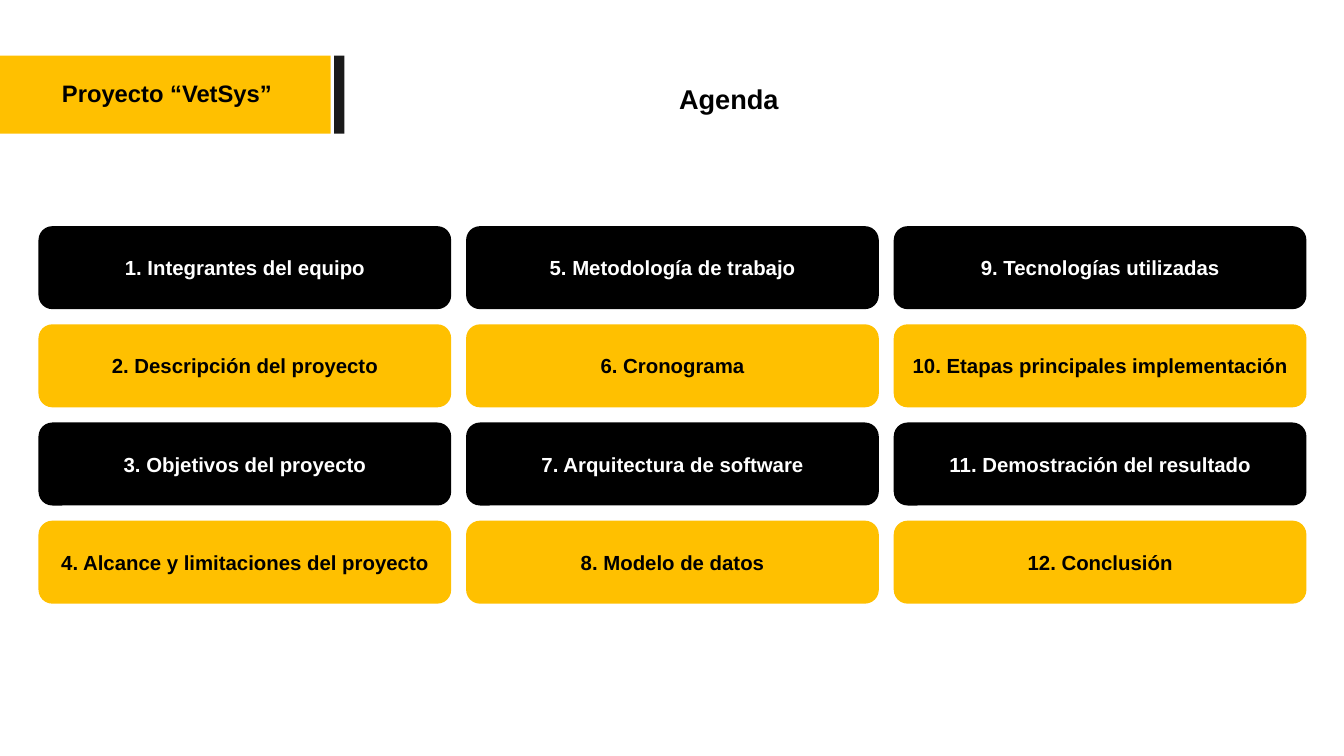
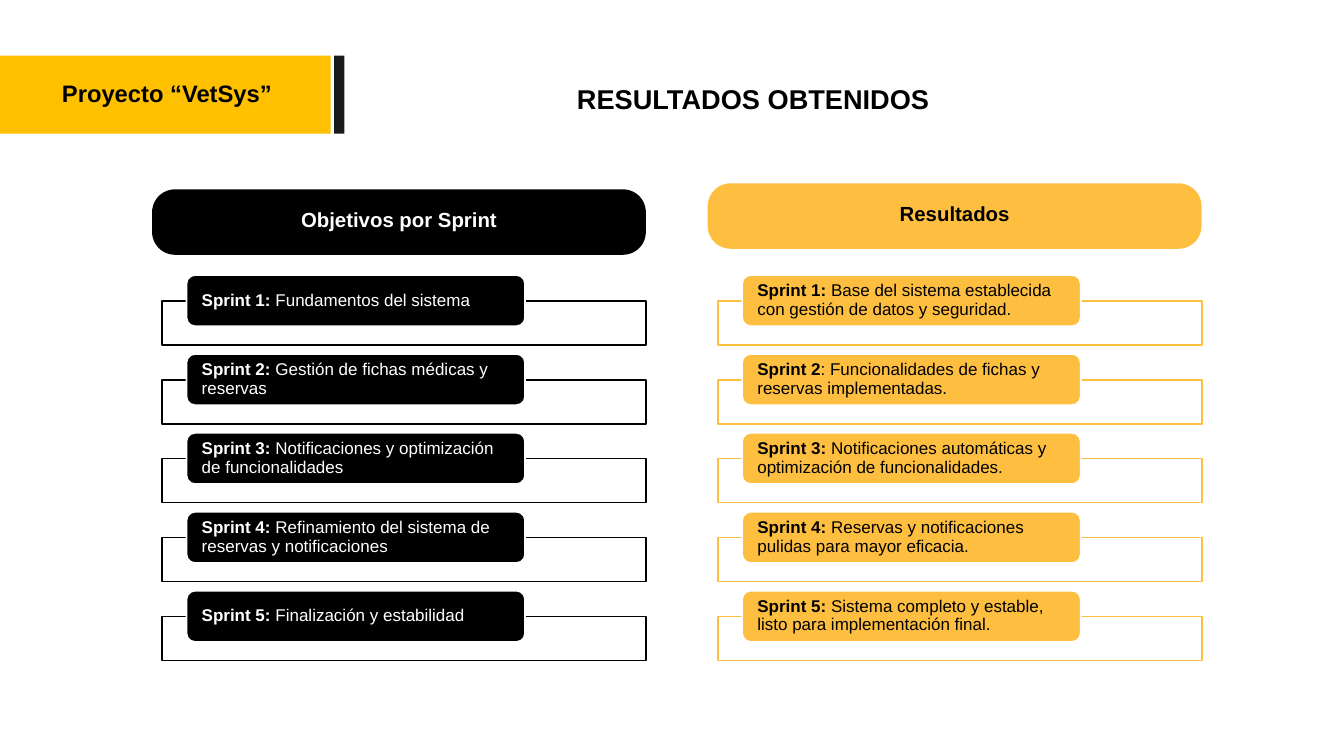
"""Build the agenda and results slides of the VetSys project."""
from pptx import Presentation
from pptx.dml.color import RGBColor
from pptx.enum.shapes import MSO_SHAPE as SHAPE
from pptx.enum.text import MSO_ANCHOR as ANCHOR, MSO_AUTO_SIZE as AUTO, PP_ALIGN as ALIGN
from pptx.util import Cm, Pt

COLORS = {"black": "000000", "white": "FFFFFF", "yellow": "FFC000",
          "amber": "FEBF40", "bar": "1A1A1A"}
FONT = "Arial"


def write(sp, *runs, size=24, color="black", align=ALIGN.CENTER,
          anchor=ANCHOR.MIDDLE, insets=(0.25, 0.13, 0.25, 0.13), spacing=1.0):
    """Fill sp with (text, bold) runs in one paragraph."""
    tf = sp.text_frame
    tf.word_wrap = True
    tf.auto_size = AUTO.NONE
    tf.vertical_anchor = anchor
    tf.margin_left, tf.margin_top, tf.margin_right, tf.margin_bottom = map(Cm, insets)
    p = tf.paragraphs[0]
    p.alignment = align
    p.line_spacing = spacing
    for text, bold in runs:
        r = p.add_run()
        r.text = text
        r.font.name = FONT
        r.font.size = Pt(size)
        r.font.bold = bold
        r.font.color.rgb = RGBColor.from_string(COLORS[color])


def add_box(s, kind, left, top, width, height, fill, line=None):
    """Add a flat filled shape, measured in centimetres."""
    sp = s.shapes.add_shape(kind, Cm(left), Cm(top), Cm(width), Cm(height))
    sp.shadow.inherit = False
    sp.fill.solid()
    sp.fill.fore_color.rgb = RGBColor.from_string(COLORS[fill])
    if line:
        sp.line.color.rgb = RGBColor.from_string(COLORS[line])
        sp.line.width = Pt(2)
    else:
        sp.line.fill.background()
    return sp


prs = Presentation()
prs.slide_width, prs.slide_height = Cm(55.85), Cm(31.42)

slides = []
for title, left in (("Agenda", 17.35), ("RESULTADOS OBTENIDOS", 18.36)):
    s = prs.slides.add_slide(prs.slide_layouts[5])
    add_box(s, SHAPE.RECTANGLE, 0, 2.31, 13.74, 3.25, "yellow")
    add_box(s, SHAPE.RECTANGLE, 13.89, 2.31, 0.42, 3.25, "bar")
    label = s.shapes.add_textbox(Cm(1.6), Cm(3.28), Cm(10.67), Cm(1.2))
    write(label, ("Proyecto “VetSys”", True), size=28, anchor=ANCHOR.TOP,
          insets=(0, 0, 0, 0))
    sp = s.shapes.title
    sp.left, sp.top, sp.width, sp.height = Cm(left), Cm(3.28), Cm(25.88), Cm(1.63)
    write(sp, (title, True), size=32, anchor=ANCHOR.TOP)
    slides.append(s)
agenda, results = slides

TOPICS = [
    "Integrantes del equipo", "Descripción del proyecto",
    "Objetivos del proyecto", "Alcance y limitaciones del proyecto",
    "Metodología de trabajo", "Cronograma",
    "Arquitectura de software", "Modelo de datos",
    "Tecnologías utilizadas", "Etapas principales implementación",
    "Demostración del resultado", "Conclusión",
]
ROWS = 4
for i, topic in enumerate(TOPICS):
    col, row = divmod(i, ROWS)
    fill, color = (("black", "white"), ("yellow", "black"))[row % 2]
    sp = add_box(agenda, SHAPE.ROUNDED_RECTANGLE, 1.6 + col * 17.77,
                 9.4 + row * 4.08, 17.15, 3.45, fill)
    write(sp, (f"{i + 1}. {topic}", True), color=color)

COLUMNS = [
    ("Objetivos por Sprint", 7.87, "black", "white", [
        ("Sprint 1: ", "Fundamentos del sistema"),
        ("Sprint 2: ", "Gestión de fichas médicas y reservas"),
        ("Sprint 3: ", "Notificaciones y optimización de funcionalidades"),
        ("Sprint 4: ", "Refinamiento del sistema de reservas y notificaciones"),
        ("Sprint 5: ", "Finalización y estabilidad"),
    ]),
    ("Resultados", 7.62, "amber", "black", [
        ("Sprint 1: ", "Base del sistema establecida con gestión de datos y seguridad."),
        ("Sprint 2", ": Funcionalidades de fichas y reservas implementadas."),
        ("Sprint 3: ", "Notificaciones automáticas y optimización de funcionalidades."),
        ("Sprint 4: ", "Reservas y notificaciones pulidas para mayor eficacia."),
        ("Sprint 5: ", "Sistema completo y estable, listo para implementación final."),
    ]),
]
for col, (heading, top, fill, color, sprints) in enumerate(COLUMNS):
    left = 6.32 + col * 23.09
    header = add_box(results, SHAPE.ROUNDED_RECTANGLE, left, top, 20.52, 2.72, fill)
    header.adjustments[0] = 0.35
    write(header, (heading, True), color=color, insets=(0.25, 0.13, 0.25, 0.38))
    for row, (sprint, goal) in enumerate(sprints):
        offset = row * 3.28
        add_box(results, SHAPE.RECTANGLE, left + 0.42, 12.5 + offset, 20.12, 1.83,
                "white", line=fill)
        pill = add_box(results, SHAPE.ROUNDED_RECTANGLE, left + 1.43, 11.43 + offset,
                       14.07, 2.13, fill, line="white")
        write(pill, (sprint, True), (goal, False), size=20, color=color,
              align=ALIGN.LEFT, insets=(0.53, 0, 0.53, 0), spacing=0.9)

prs.save("out.pptx")
